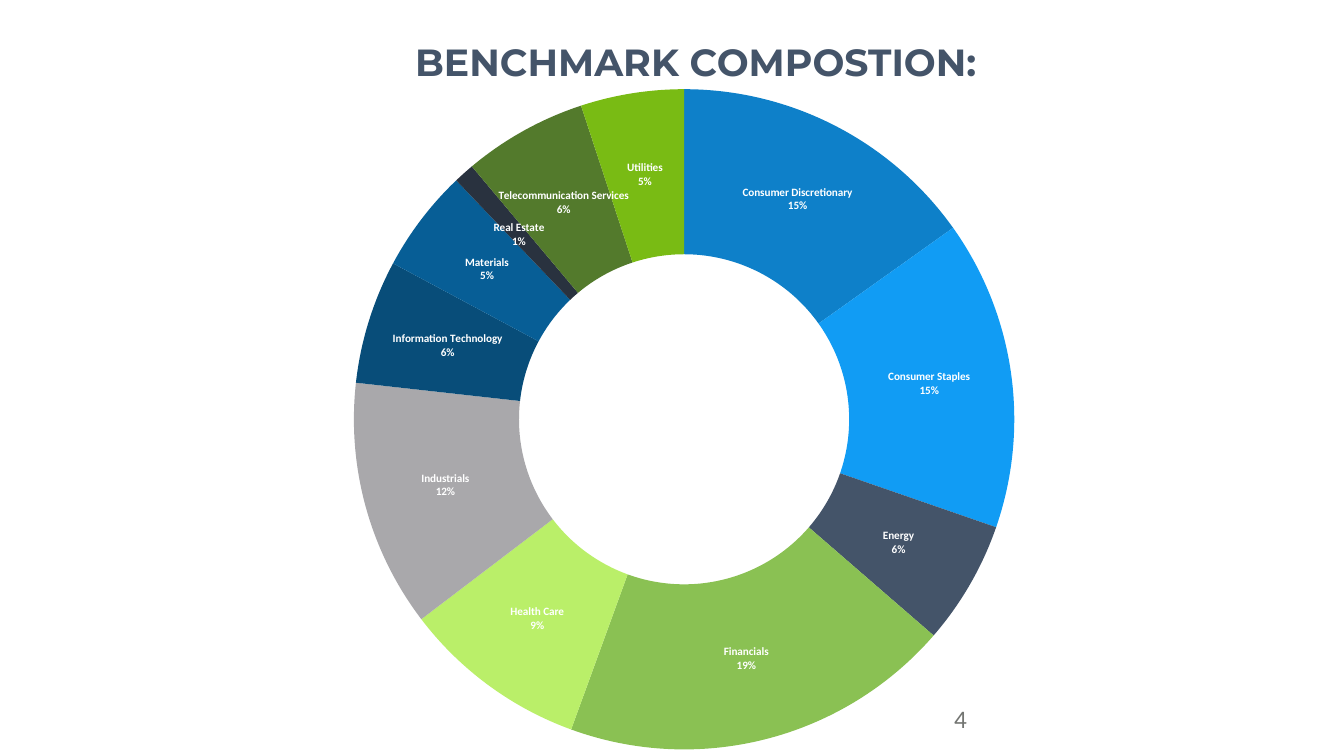
from dataclasses import dataclass

from lxml import etree
from pptx import Presentation
from pptx.chart.data import CategoryChartData
from pptx.dml.color import RGBColor
from pptx.enum.chart import XL_CHART_TYPE as ChartType
from pptx.enum.text import MSO_ANCHOR as Anchor, PP_ALIGN as Align
from pptx.oxml.ns import qn
from pptx.util import Inches, Pt


@dataclass(frozen=True)
class Theme:
    heading: str = "445469"
    muted: str = "737572"
    label: str = "FFFFFF"
    heading_font: str = "Montserrat"
    body_font: str = "Calibri"
    heading_size: int = 54
    number_size: int = 36
    label_size: int = 16


THEME = Theme()

# Sector, weight in percent, ring colour
SECTORS = [
    ("Consumer Discretionary", 15, "0E80C9"),
    ("Consumer Staples", 15, "119CF4"),
    ("Energy", 6, "445469"),
    ("Financials", 19, "8AC153"),
    ("Health Care", 9, "BAEF69"),
    ("Industrials", 12, "A9A8AB"),
    ("Information Technology", 6, "084D79"),
    ("Materials", 5, "075E96"),
    ("Real Estate", 1, "29323F"),
    ("Telecommunication Services", 6, "537A2C"),
    ("Utilities", 5, "79BB14"),
]


def style_font(font, name, size, color, bold=False):
    font.name = name
    font.size = Pt(size)
    font.bold = bold
    font.color.rgb = RGBColor.from_string(color)


def add_text(slide, box, text, font_style, align=Align.LEFT,
             anchor=Anchor.TOP, line_spacing=None):
    frame = slide.shapes.add_textbox(*map(Inches, box)).text_frame
    frame.word_wrap = True
    frame.vertical_anchor = anchor
    frame.text = text
    paragraph = frame.paragraphs[0]
    paragraph.alignment = align
    paragraph.line_spacing = line_spacing
    style_font(paragraph.runs[0].font, *font_style)


def place_ring(chart, frame_size, left, top, diameter):
    """Fix the ring inside the chart frame; all lengths in inches."""
    frame_width, frame_height = frame_size
    plot_area = chart._chartSpace.chart.plotArea
    for old in plot_area.findall(qn("c:layout")):
        plot_area.remove(old)
    layout = etree.Element(qn("c:layout"))
    manual = etree.SubElement(layout, qn("c:manualLayout"))
    settings = [("layoutTarget", "inner"), ("xMode", "edge"), ("yMode", "edge"),
                ("x", left / frame_width), ("y", top / frame_height),
                ("w", diameter / frame_width), ("h", diameter / frame_height)]
    for tag, value in settings:
        etree.SubElement(manual, qn(f"c:{tag}")).set("val", str(value))
    plot_area.insert(0, layout)


def label_sectors(series):
    labels = series.data_labels
    labels.show_value = False
    labels.show_category_name = True
    labels.show_percentage = True
    labels.number_format = "0%"
    labels.number_format_is_linked = False
    style_font(labels.font, THEME.body_font, THEME.label_size, THEME.label, True)
    # Percentage goes on its own line below the sector name
    separator = etree.Element(qn("c:separator"))
    separator.text = "\n"
    labels._element.find(qn("c:showBubbleSize")).addnext(separator)


def add_sector_ring(slide, box):
    weights = CategoryChartData()
    weights.categories = [name for name, _, _ in SECTORS]
    weights.add_series("Series 1", [weight for _, weight, _ in SECTORS])
    chart = slide.shapes.add_chart(
        ChartType.DOUGHNUT, *map(Inches, box), weights).chart
    chart.has_legend = False
    chart.has_title = False
    style_font(chart.font, THEME.body_font, THEME.label_size, THEME.muted)
    place_ring(chart, box[2:], left=4.9, top=0.14, diameter=13.1)

    ring = chart.plots[0]
    ring.vary_by_categories = True
    ring._element.find(qn("c:holeSize")).set("val", "50")
    series = ring.series[0]
    for index, (_, _, color) in enumerate(SECTORS):
        sector = series.points[index].format
        sector.fill.solid()
        sector.fill.fore_color.rgb = RGBColor.from_string(color)
        sector.line.fill.background()
    label_sectors(series)


def main():
    deck = Presentation()
    deck.slide_width, deck.slide_height = Inches(26.66), Inches(15)
    slide = deck.slides.add_slide(deck.slide_layouts[6])

    # Heading
    add_text(slide, (6.57, 0.2, 14.46, 1.56), "BENCHMARK COMPOSTION:",
             (THEME.heading_font, THEME.heading_size, THEME.heading, True),
             Align.CENTER, Anchor.MIDDLE, Pt(100))

    # Page number
    add_text(slide, (18.83, 13.9, 6, 0.8), "4",
             (THEME.body_font, THEME.number_size, THEME.muted))

    # Sector weights
    add_sector_ring(slide, (2.12, 1.63, 22.71, 13.37))

    deck.save("out.pptx")


if __name__ == "__main__":
    main()
